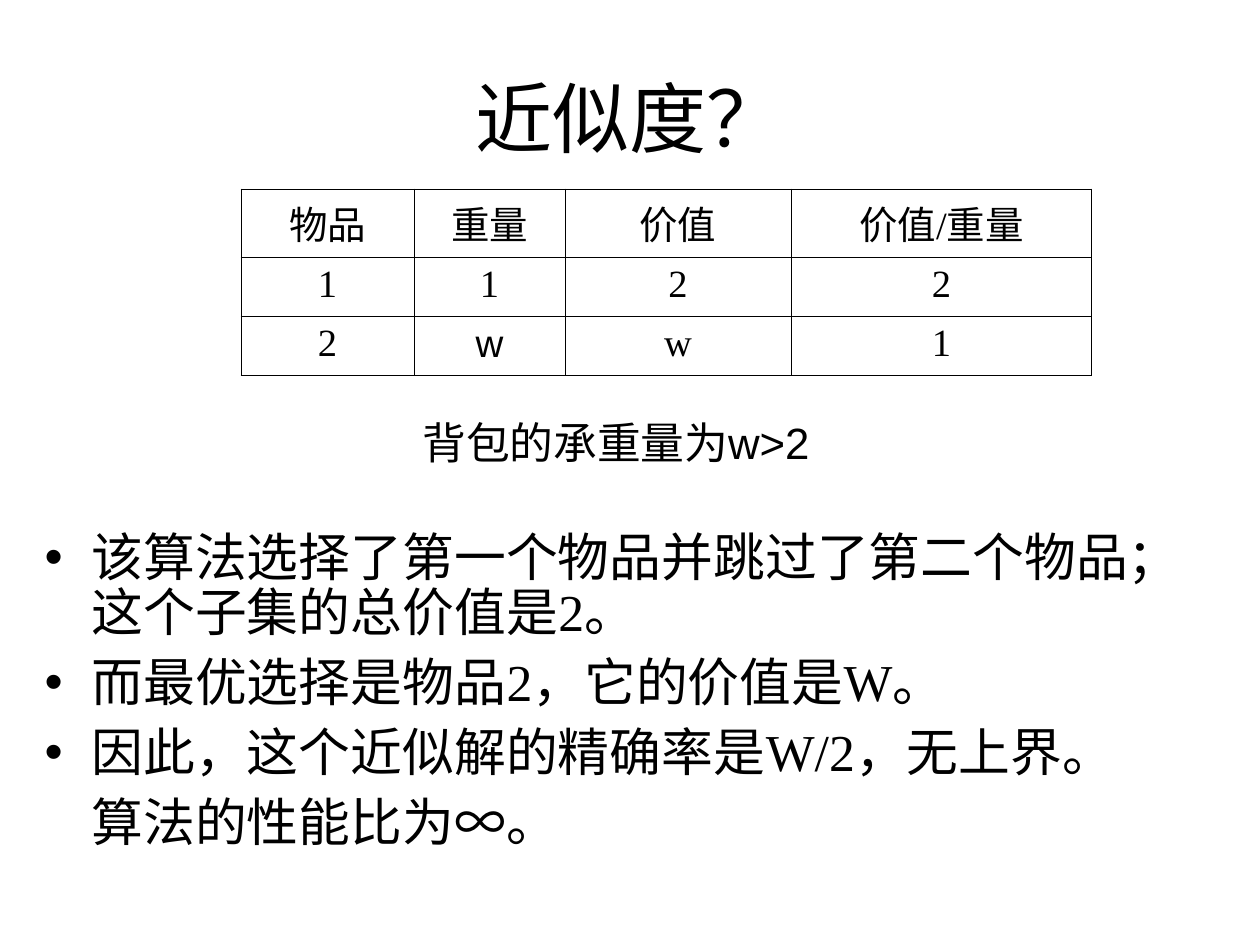
from dataclasses import dataclass

from lxml import etree
from pptx import Presentation
from pptx.dml.color import RGBColor
from pptx.enum.text import MSO_ANCHOR, MSO_AUTO_SIZE, PP_ALIGN
from pptx.oxml.ns import qn
from pptx.util import Pt

CENTER = PP_ALIGN.CENTER
LEFT = PP_ALIGN.LEFT
TOP = MSO_ANCHOR.TOP
MIDDLE = MSO_ANCHOR.MIDDLE
FIXED = MSO_AUTO_SIZE.NONE
GROW = MSO_AUTO_SIZE.SHAPE_TO_FIT_TEXT
SCALE = 914400 / 126


@dataclass(frozen=True)
class Theme:
    ink: str = "000000"
    paper: str = "FFFFFF"
    sans: str = "Arial"
    serif: str = "Times New Roman"
    title: float = 44
    body: float = 29.6
    cell: float = 22
    note: float = 25
    rule: float = 0.45


THEME = Theme()
HANG = 47
WIDTHS = (173, 151, 226, 301)
ROW = 59
ITEMS = (
    ("物品", "重量", "价值", "价值/重量"),
    ("1", "1", "2", "2"),
    ("2", "w", "w", "1"),
)
SANS_CELL = (2, 1)
POINTS = (
    ("该算法选择了第一个物品并跳过了第二个物品；这个子集的总价值是2。", True),
    ("而最优选择是物品2，它的价值是W。", True),
    ("因此，这个近似解的精确率是W/2，无上界。", True),
    ("算法的性能比为∞。", False),
)


def px(num):
    return round(num * SCALE)


def place(shape, left, top, width, height):
    shape.left, shape.top = px(left), px(top)
    shape.width, shape.height = px(width), px(height)


def add_run(para, text, size, face):
    run = para.add_run()
    run.text = text
    run.font.size = Pt(size)
    run.font.name = face
    run.font.color.rgb = RGBColor.from_string(THEME.ink)


def set_mark(para, shown):
    props = para._p.get_or_add_pPr()
    props.set("marL", str(px(HANG)))
    props.set("indent", str(-px(HANG) if shown else 0))
    if shown:
        color = etree.SubElement(props, qn("a:buClr"))
        etree.SubElement(color, qn("a:srgbClr"), val=THEME.ink)
        etree.SubElement(props, qn("a:buFont"), typeface=THEME.sans)
        etree.SubElement(props, qn("a:buChar"), char="•")
    else:
        etree.SubElement(props, qn("a:buNone"))


def add_title(slide, text):
    shape = slide.shapes.title
    place(shape, 63, 38, 1134, 157)
    frame = shape.text_frame
    frame.auto_size = FIXED
    frame.vertical_anchor = MIDDLE
    para = frame.paragraphs[0]
    para.alignment = CENTER
    add_run(para, text, THEME.title, THEME.sans)


def add_list(slide, points):
    shape = slide.placeholders[1]
    place(shape, 32, 525, 1187, 388)
    frame = shape.text_frame
    frame.auto_size = FIXED
    frame.vertical_anchor = TOP
    for num, (text, shown) in enumerate(points):
        para = frame.add_paragraph() if num else frame.paragraphs[0]
        set_mark(para, shown)
        para.alignment = LEFT
        para.line_spacing = 0.9
        para.space_before = Pt(8 if num else 0)
        add_run(para, text, THEME.body, THEME.serif)


def set_edges(cell):
    props = cell._tc.get_or_add_tcPr()
    for side in ("lnL", "lnR", "lnT", "lnB"):
        line = etree.SubElement(props, qn("a:" + side), w=str(Pt(THEME.rule)))
        fill = etree.SubElement(line, qn("a:solidFill"))
        etree.SubElement(fill, qn("a:srgbClr"), val=THEME.ink)


def add_grid(slide, items):
    frame = slide.shapes.add_table(
        len(items), len(WIDTHS), px(241), px(189), px(sum(WIDTHS)), px(ROW * len(items))
    )
    table = frame.table
    table.first_row = False
    table.horz_banding = False
    for col, width in zip(table.columns, WIDTHS):
        col.width = px(width)
    for row, texts in enumerate(items):
        table.rows[row].height = px(ROW)
        for col, text in enumerate(texts):
            cell = table.cell(row, col)
            set_edges(cell)
            cell.fill.background()
            para = cell.text_frame.paragraphs[0]
            para.alignment = CENTER
            face = THEME.sans if (row, col) == SANS_CELL else THEME.serif
            add_run(para, text, THEME.cell, face)


def add_note(slide, text):
    box = slide.shapes.add_textbox(px(410), px(410), px(494), px(66))
    frame = box.text_frame
    frame.word_wrap = True
    frame.auto_size = GROW
    add_run(frame.paragraphs[0], text, THEME.note, THEME.sans)


def main():
    deck = Presentation()
    deck.slide_width, deck.slide_height = px(1260), px(945)
    slide = deck.slides.add_slide(deck.slide_layouts[1])
    fill = slide.background.fill
    fill.solid()
    fill.fore_color.rgb = RGBColor.from_string(THEME.paper)
    add_title(slide, "近似度？")
    add_list(slide, POINTS)
    add_grid(slide, ITEMS)
    add_note(slide, "背包的承重量为w>2")
    deck.save("out.pptx")


if __name__ == "__main__":
    main()
